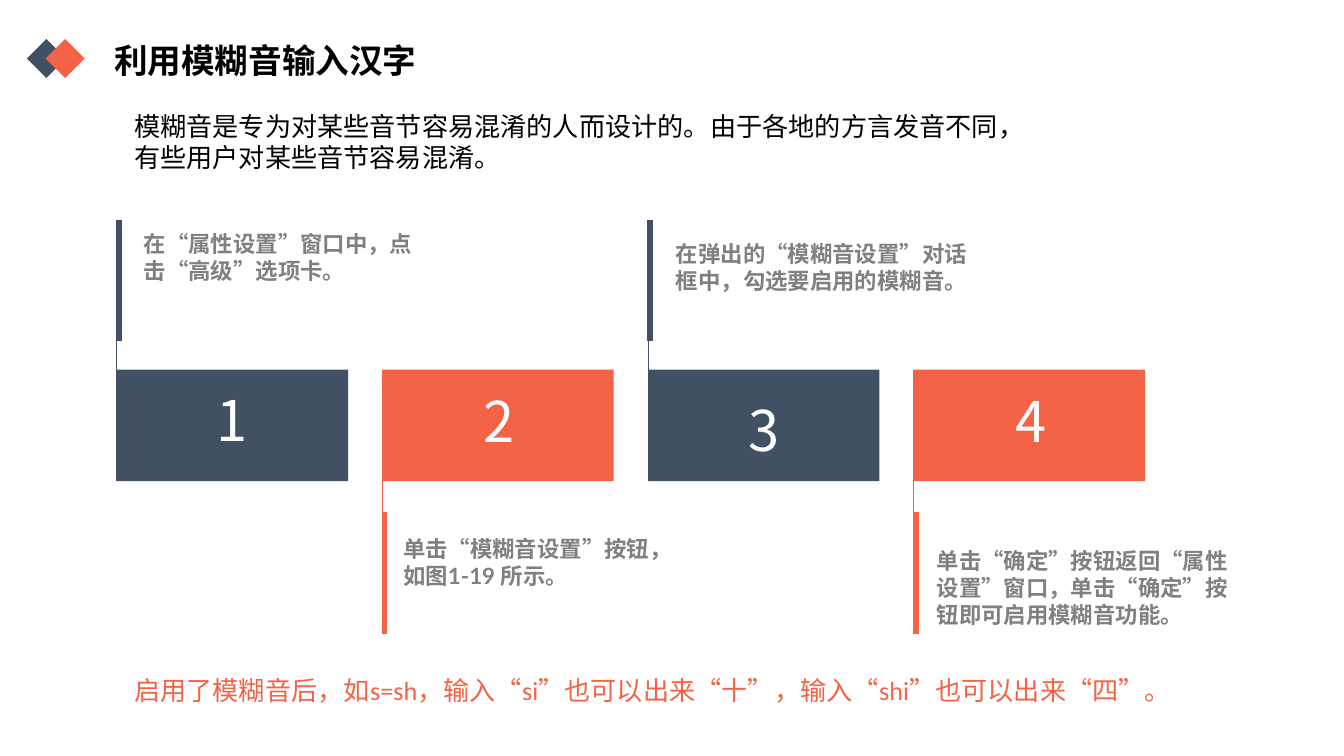
from pptx import Presentation
from pptx.dml.color import RGBColor
from pptx.enum.lang import MSO_LANGUAGE_ID
from pptx.enum.shapes import MSO_CONNECTOR, MSO_SHAPE
from pptx.enum.text import MSO_ANCHOR, PP_ALIGN
from pptx.oxml.ns import qn
from pptx.util import Inches, Pt
from lxml import etree

RECT, DIAMOND = MSO_SHAPE.RECTANGLE, MSO_SHAPE.DIAMOND
LINE = MSO_CONNECTOR.STRAIGHT
TOP, MIDDLE = MSO_ANCHOR.TOP, MSO_ANCHOR.MIDDLE
LEFT, CENTER = PP_ALIGN.LEFT, PP_ALIGN.CENTER
CHINESE = MSO_LANGUAGE_ID.SIMPLIFIED_CHINESE

NAVY, CORAL, GRAY, BLACK, WHITE = "415163", "F46346", "808080", "000000", "FFFFFF"
SANS = "Noto Sans CJK SC"

# Step row: first left edge, pitch, top, width, height
START, PITCH = 0.87, (6.8 - 0.87) / 3
ROW, WIDE, HIGH = 2.75, 1.72, 0.83
BAR = 0.89

# Colour, number box (offset, top, height), note box (left, top, width), note
STEPS = [
    (NAVY, (0.42, 2.75, 0.58), (1.07, 1.63, 2.07),
     "在“属性设置”窗口中，点击“高级”选项卡。"),
    (CORAL, (0.43, 2.83, 0.61), (3, 3.9, 2.07),
     "单击“模糊音设置”按钮，如图1-19 所示。"),
    (NAVY, (0.42, 2.83, 0.58), (5.03, 1.71, 2.2),
     "在弹出的“模糊音设置”对话框中，勾选要启用的模糊音。"),
    (CORAL, (0.43, 2.83, 0.61), (6.97, 3.99, 2.24),
     "单击“确定”按钮返回“属性设置”窗口，单击“确定”按钮即可启用模糊音功能。"),
]


def color(value):
    return RGBColor.from_string(value)


def add_block(slide, kind, box, fill, line=None):
    shape = slide.shapes.add_shape(kind, *map(Inches, box))
    shape.shadow.inherit = False
    shape.fill.solid()
    shape.fill.fore_color.rgb = color(fill)
    if line:
        shape.line.color.rgb = color(fill)
        shape.line.width = Pt(line)
        # Sharp corners
        edge = shape._element.spPr.find(qn("a:ln"))
        etree.SubElement(edge, qn("a:miter"), lim="800000")
    else:
        shape.line.fill.background()


def add_stem(slide, left, top, bottom, tint):
    stem = slide.shapes.add_connector(LINE, *map(Inches, (left, top, left, bottom)))
    stem.line.color.rgb = color(tint)
    stem.line.width = Pt(0.5)
    etree.SubElement(stem._element.spPr, qn("a:effectLst"))


def add_text(slide, box, text, size, tint, face, bold=False,
             align=LEFT, anchor=TOP, space=None, pad=(0.1, 0.05)):
    frame = slide.shapes.add_textbox(*map(Inches, box)).text_frame
    across, down = map(Inches, pad)
    look = {"word_wrap": True, "vertical_anchor": anchor,
            "margin_left": across, "margin_right": across,
            "margin_top": down, "margin_bottom": down}
    for name, value in look.items():
        setattr(frame, name, value)
    para = frame.paragraphs[0]
    para.alignment = align
    if space:
        para.line_spacing = space
    run = para.add_run()
    run.text = text
    style = {"size": Pt(size), "bold": bold, "name": face, "language_id": CHINESE}
    for name, value in style.items():
        setattr(run.font, name, value)
    run.font.color.rgb = color(tint)
    # Chinese glyphs use the East Asian face
    latin = run._r.rPr.find(qn("a:latin"))
    east = etree.Element(qn("a:ea"), typeface=SANS)
    latin.addnext(east)


def add_step(slide, index, tint, spot, note, text):
    left = START + index * PITCH
    above = index % 2 == 0
    # Stem and bar point up on odd steps, down on even ones
    if above:
        top, bottom, bar = 1.64, ROW + HIGH, 1.64
    else:
        top, bottom, bar = ROW, 4.71, 3.82
    add_stem(slide, left, top, bottom, tint)
    add_block(slide, RECT, (left, bar, 0.03, BAR), tint, line=1)
    # Numbered block
    add_block(slide, RECT, (left, ROW, WIDE, HIGH), tint)
    shift, start, tall = spot
    form = {"anchor": MIDDLE, "space": 1.3, "pad": (0.11, 0.05)} if above else {}
    add_text(slide, (left + shift, start, 0.88, tall), str(index + 1),
             30, WHITE, SANS, align=CENTER, **form)
    # Note
    add_text(slide, (*note, 0.28), text, 12, GRAY, "Lato", bold=True, pad=(0, 0.08))


def main():
    deck = Presentation()
    # Widescreen, 16:9
    deck.slide_width, deck.slide_height = Inches(10), Inches(10 * 9 / 16)
    slide = deck.slides.add_slide(deck.slide_layouts[6])

    # Heading
    for left, tint in ((0.2, NAVY), (0.34, CORAL)):
        add_block(slide, DIAMOND, (left, 0.29, 0.29, 0.29), tint)
    add_text(slide, (0.75, 0.25, 2.78, 0.4), "利用模糊音输入汉字",
             18, BLACK, SANS, bold=True, anchor=MIDDLE)

    # Introduction
    add_text(slide, (0.9, 0.77, 6.83, 0.57),
             "模糊音是专为对某些音节容易混淆的人而设计的。"
             "由于各地的方言发音不同，有些用户对某些音节容易混淆。",
             14, BLACK, "Calibri")

    # Steps
    for index, step in enumerate(STEPS):
        add_step(slide, index, *step)

    # Closing example
    add_text(slide, (0.9, 4.97, 8.18, 0.34),
             "启用了模糊音后，如s=sh，输入“si”也可以出来“十”，"
             "输入“shi”也可以出来“四”。",
             14, CORAL, "Calibri")

    deck.save("out.pptx")


if __name__ == "__main__":
    main()
